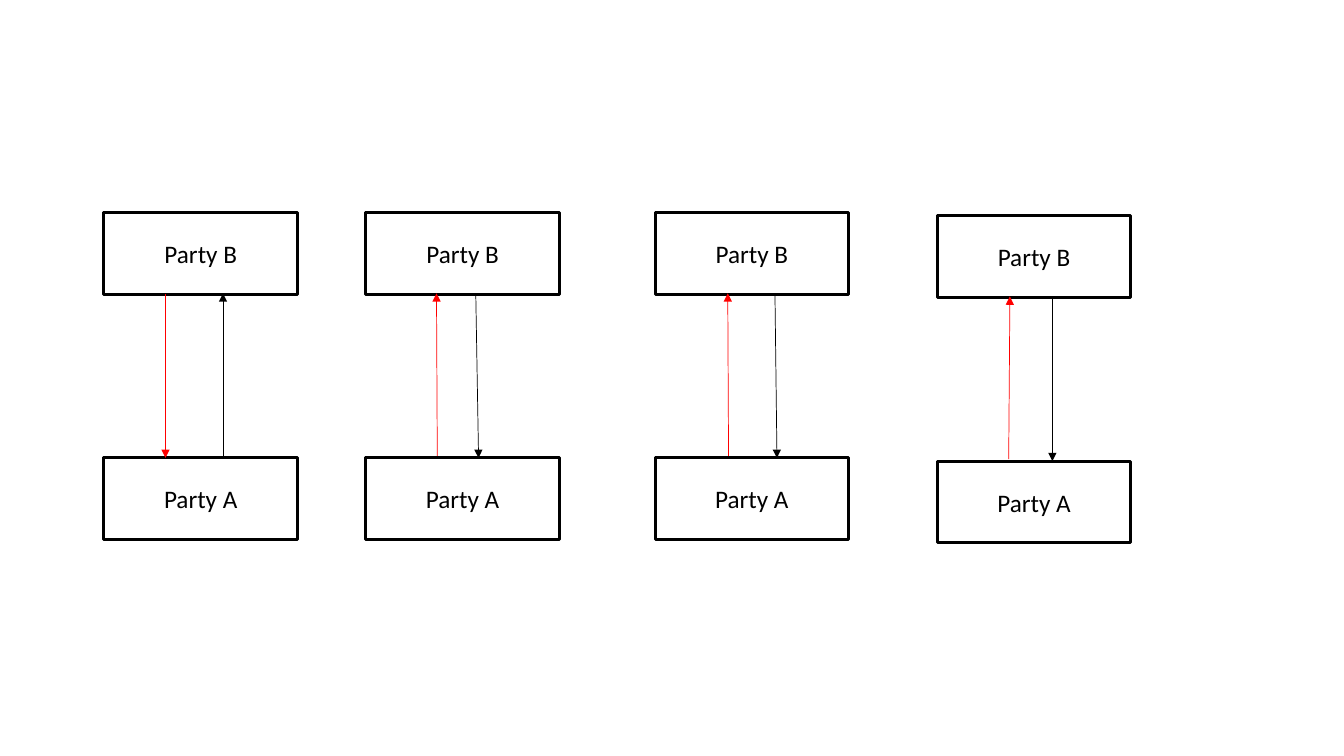
from lxml.etree import SubElement
from pptx import Presentation
from pptx.dml.color import RGBColor
from pptx.enum.shapes import MSO_CONNECTOR, MSO_SHAPE
from pptx.enum.text import MSO_ANCHOR, PP_ALIGN
from pptx.oxml.ns import qn
from pptx.util import Cm, Pt

BLACK = RGBColor(0x00, 0x00, 0x00)
RED = RGBColor(0xFF, 0x00, 0x00)

BOX_W, BOX_H = 4.88, 2.06
PARTY_STEP = 6.18  # from the top of Party B to the top of Party A
UP = (6.13, 2.03)  # start and end heights below the top of Party B
DOWN = (2.05, 6.18)

# left and top of each pair, then its arrows: direction, start x, end x, colour
PAIRS = [
    (2.62, 5.36, [(DOWN, 1.55, 1.55, RED), (UP, 3.00, 3.00, BLACK)]),
    (9.22, 5.36, [(UP, 1.80, 1.78, RED), (DOWN, 2.77, 2.84, BLACK)]),
    (16.51, 5.36, [(UP, 1.85, 1.83, RED), (DOWN, 3.02, 3.07, BLACK)]),
    (23.62, 5.44, [(UP, 1.80, 1.83, RED), (DOWN, 2.90, 2.90, BLACK)]),
]


def add_party(name, left, top):
    sp = s.shapes.add_shape(MSO_SHAPE.RECTANGLE, Cm(left), Cm(top), Cm(BOX_W), Cm(BOX_H))
    sp.shadow.inherit = False
    sp.fill.background()
    sp.line.color.rgb = BLACK
    sp.line.width = Pt(2.25)
    tf = sp.text_frame
    tf.vertical_anchor = MSO_ANCHOR.MIDDLE
    p = tf.paragraphs[0]
    p.text = name
    p.alignment = PP_ALIGN.CENTER
    p.font.name = "Calibri"
    p.font.size = Pt(18)
    p.font.color.rgb = BLACK


def add_arrow(x1, y1, x2, y2, color):
    line = s.shapes.add_connector(MSO_CONNECTOR.STRAIGHT, Cm(x1), Cm(y1), Cm(x2), Cm(y2))
    line.line.color.rgb = color
    line.line.width = Pt(0.5)
    SubElement(line.line._get_or_add_ln(), qn("a:tailEnd"), type="triangle")
    SubElement(line._element.spPr, qn("a:effectLst"))


prs = Presentation()
prs.slide_width, prs.slide_height = Cm(33.87), Cm(19.05)
s = prs.slides.add_slide(prs.slide_layouts[6])

for left, top, arrows in PAIRS:
    add_party("Party B", left, top)
    add_party("Party A", left, top + PARTY_STEP)
    for (start, end), x1, x2, color in arrows:
        add_arrow(left + x1, top + start, left + x2, top + end, color)

prs.save("out.pptx")
